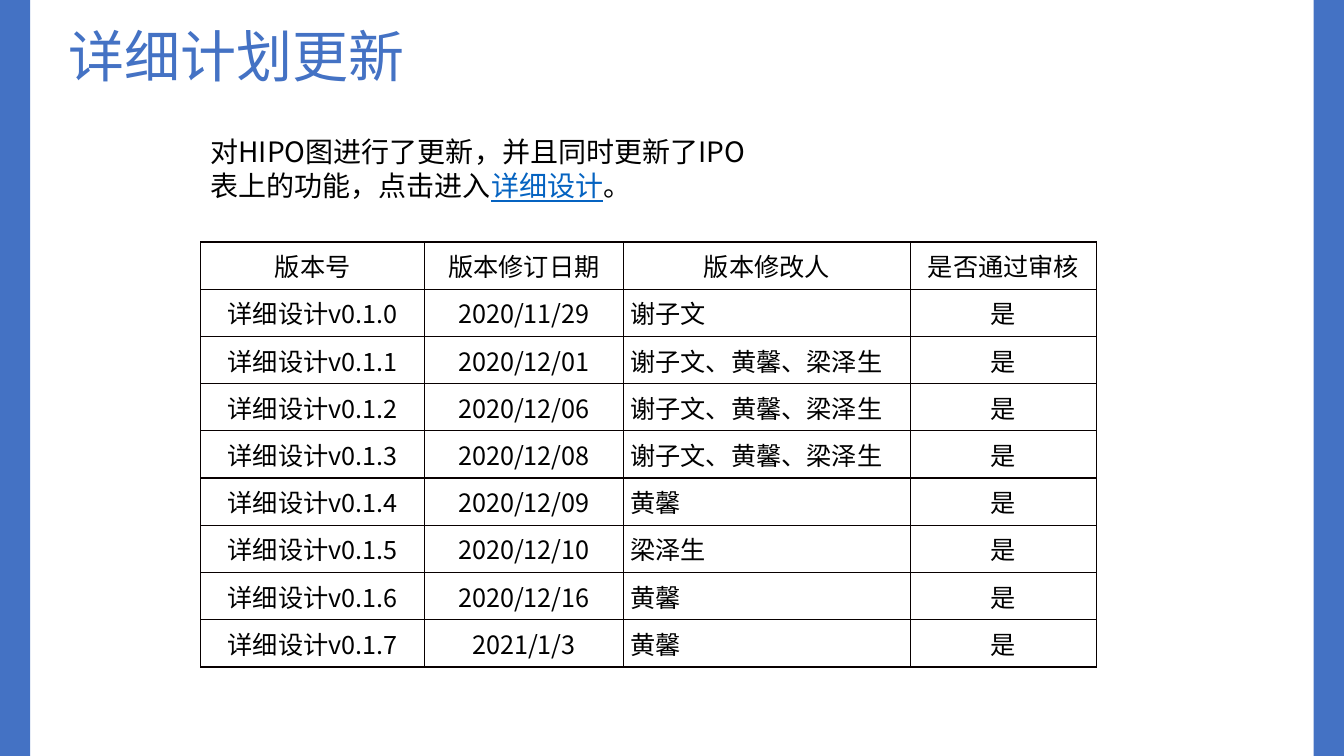
import pptx
import pptx.dml.color
import pptx.enum.lang
import pptx.enum.shapes
import pptx.enum.text
import pptx.oxml.ns
import pptx.util
from lxml import etree

Pt = pptx.util.Pt
Align = pptx.enum.text.PP_ALIGN
FONT = "Noto Sans CJK SC"
COLORS = {
    "blue": "4472C4",
    "link": "0563C1",
    "text": "000000",
    "border": "080000",
    "white": "FFFFFF",
}
PAGE_WIDTH, PAGE_HEIGHT = 960, 540
BAR_WIDTH = 21.6
COLUMN_WIDTHS = [160, 142, 205, 133]
ROW_HEIGHT = 33.76
HEADINGS = ["版本号", "版本修订日期", "版本修改人", "是否通过审核"]
TEAM = "谢子文、黄馨、梁泽生"
REVISIONS = [
    ("2020/11/29", "谢子文"),
    ("2020/12/01", TEAM),
    ("2020/12/06", TEAM),
    ("2020/12/08", TEAM),
    ("2020/12/09", "黄馨"),
    ("2020/12/10", "梁泽生"),
    ("2020/12/16", "黄馨"),
    ("2021/1/3", "黄馨"),
]


def rgb(name):
    return pptx.dml.color.RGBColor.from_string(COLORS[name])


def add_span(para, text, size, color="text", underline=False):
    span = para.add_run()
    span.text = text
    font = span.font
    font.size = Pt(size)
    font.name = FONT
    font.color.rgb = rgb(color)
    font.underline = underline
    font.language_id = pptx.enum.lang.MSO_LANGUAGE_ID.SIMPLIFIED_CHINESE
    properties = span._r.get_or_add_rPr()
    etree.SubElement(properties, pptx.oxml.ns.qn("a:ea"), typeface=FONT)


def add_bar(page, left):
    bar = page.shapes.add_shape(
        pptx.enum.shapes.MSO_SHAPE.RECTANGLE,
        Pt(left), Pt(0), Pt(BAR_WIDTH), Pt(PAGE_HEIGHT),
    )
    bar.shadow.inherit = False
    bar.fill.solid()
    bar.fill.fore_color.rgb = rgb("blue")
    bar.line.fill.background()


def add_text(page, left, top, width, height, size, spans):
    box = page.shapes.add_textbox(Pt(left), Pt(top), Pt(width), Pt(height))
    frame = box.text_frame
    frame.word_wrap = True
    frame.auto_size = pptx.enum.text.MSO_AUTO_SIZE.SHAPE_TO_FIT_TEXT
    for text, color, underline in spans:
        add_span(frame.paragraphs[0], text, size, color, underline)


def add_borders(cell):
    properties = cell._tc.get_or_add_tcPr()
    for side in ("lnL", "lnR", "lnT", "lnB"):
        line = etree.SubElement(properties, pptx.oxml.ns.qn(f"a:{side}"), w=str(Pt(1)))
        fill = etree.SubElement(line, pptx.oxml.ns.qn("a:solidFill"))
        etree.SubElement(fill, pptx.oxml.ns.qn("a:srgbClr"), val=COLORS["border"])


def fill_cell(cell, text, alignment):
    cell.margin_left = cell.margin_right = Pt(5)
    cell.margin_top = cell.margin_bottom = Pt(0)
    cell.vertical_anchor = pptx.enum.text.MSO_ANCHOR.MIDDLE
    add_borders(cell)
    cell.fill.solid()
    cell.fill.fore_color.rgb = rgb("white")
    para = cell.text_frame.paragraphs[0]
    para.alignment = alignment
    add_span(para, text, 18)


def add_revision_table(page, left, top):
    rows = [HEADINGS] + [
        (f"详细设计v0.1.{number}", date, editors, "是")
        for number, (date, editors) in enumerate(REVISIONS)
    ]
    table = page.shapes.add_table(
        len(rows), len(HEADINGS), Pt(left), Pt(top),
        Pt(sum(COLUMN_WIDTHS)), Pt(ROW_HEIGHT * len(rows)),
    ).table
    table.first_row = False
    table.horz_banding = False
    for column, width in zip(table.columns, COLUMN_WIDTHS):
        column.width = Pt(width)
    for row_index, values in enumerate(rows):
        table.rows[row_index].height = Pt(ROW_HEIGHT)
        for column_index, text in enumerate(values):
            is_editor = row_index > 0 and column_index == 2
            alignment = Align.JUSTIFY if is_editor else Align.CENTER
            fill_cell(table.cell(row_index, column_index), text, alignment)


def main():
    deck = pptx.Presentation()
    deck.slide_width = Pt(PAGE_WIDTH)
    deck.slide_height = Pt(PAGE_HEIGHT)
    page = deck.slides.add_slide(deck.slide_layouts[6])
    for left in (0, PAGE_WIDTH - BAR_WIDTH):
        add_bar(page, left)
    add_text(page, 41.8, 12.2, 288.7, 55.4, 40, [("详细计划更新", "blue", False)])
    add_revision_table(page, 143.3, 172.8)
    add_text(page, 143.3, 92.9, 410.4, 55.4, 20, [
        ("对HIPO图进行了更新，并且同时更新了IPO表上的功能，点击进入", "text", False),
        ("详细设计", "link", True),
        ("。", "text", False),
    ])
    deck.save("out.pptx")


if __name__ == "__main__":
    main()
